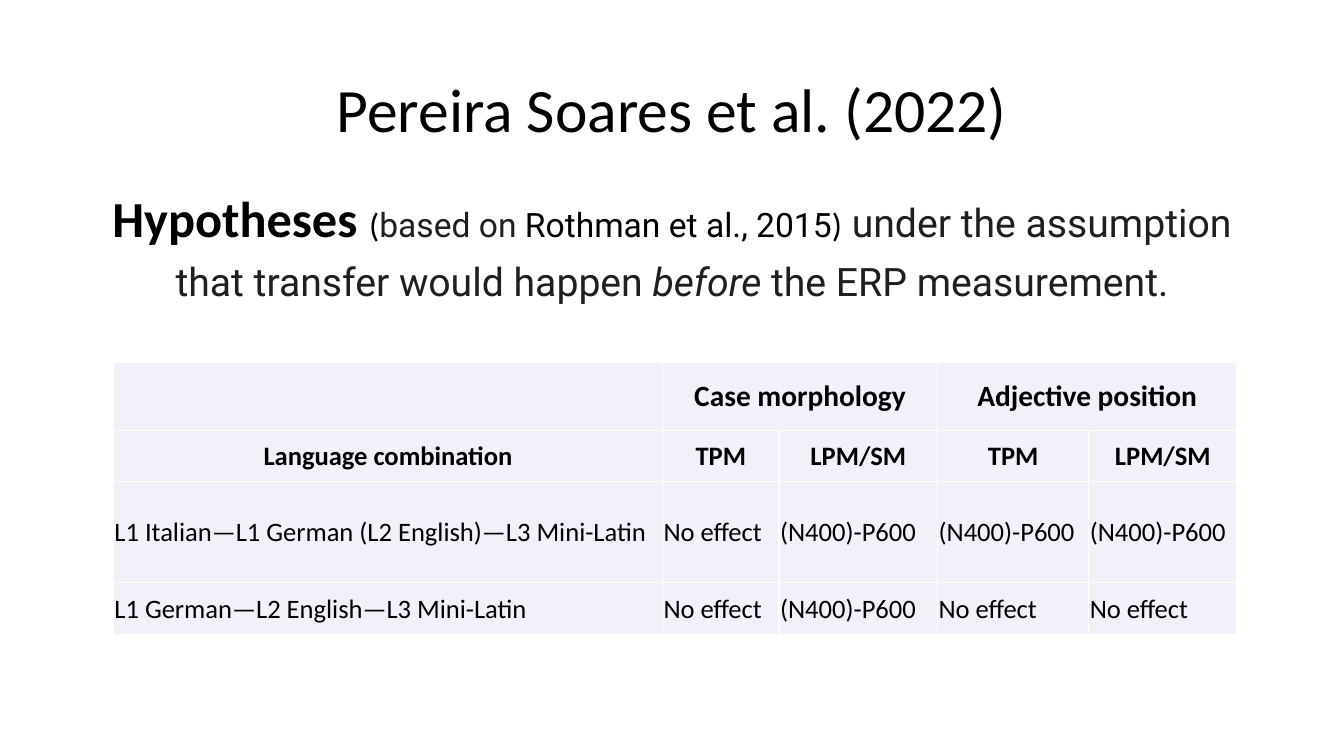
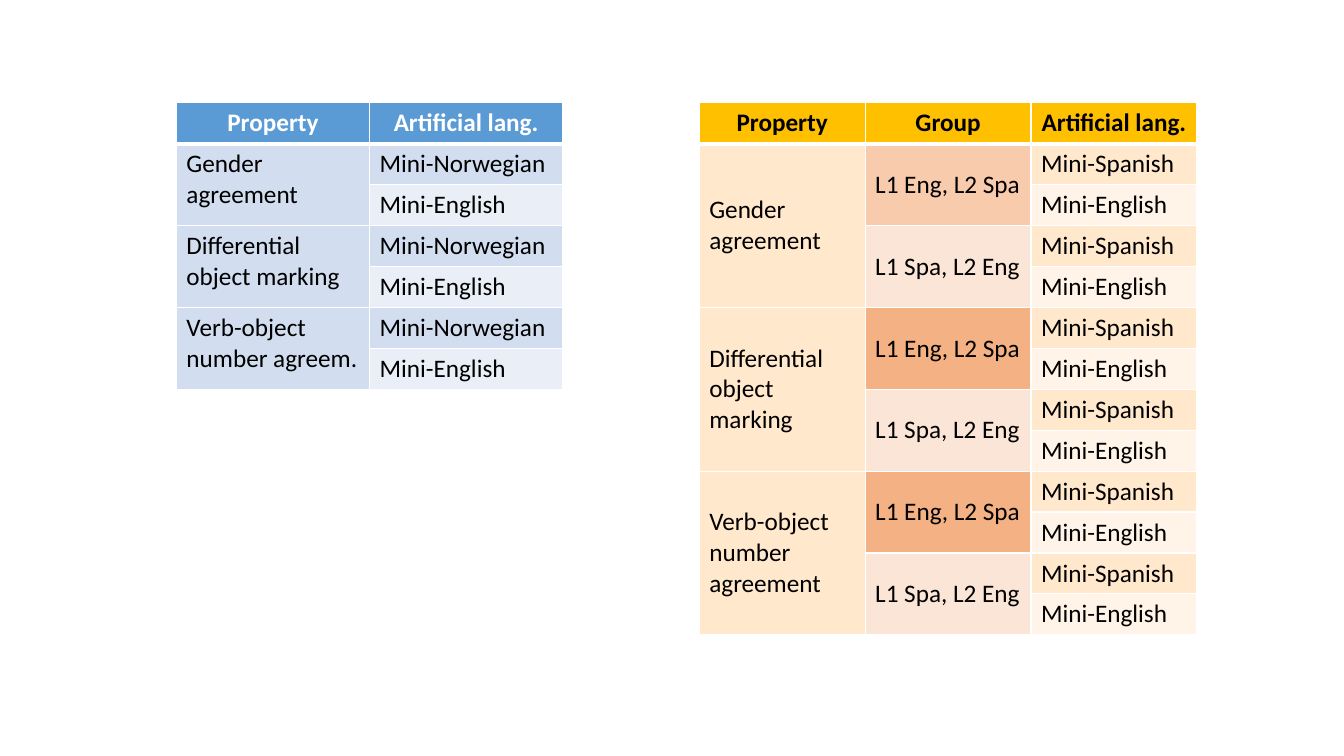
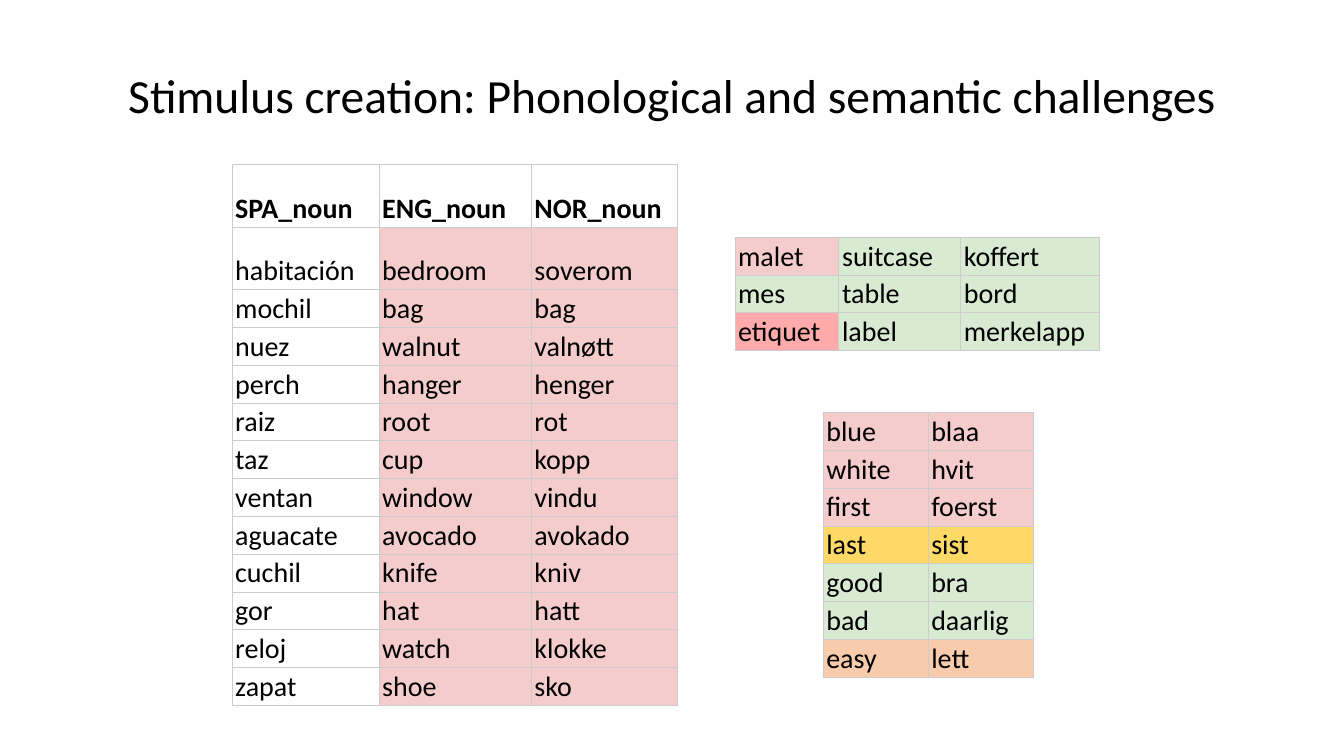
from dataclasses import dataclass

from lxml import etree
from pptx import Presentation
from pptx.dml.color import RGBColor
from pptx.enum.text import MSO_ANCHOR, PP_ALIGN
from pptx.oxml.ns import qn
from pptx.util import Emu, Pt

TOP, MIDDLE, BOTTOM = MSO_ANCHOR.TOP, MSO_ANCHOR.MIDDLE, MSO_ANCHOR.BOTTOM
LEFT, CENTER = PP_ALIGN.LEFT, PP_ALIGN.CENTER
PX = 9525  # 96 px to the inch
ABOVE, BESIDE = "^", "<"  # table cells that continue a neighbour


@dataclass(frozen=True)
class Theme:
    font: str = "Calibri"
    body_font: str = "Roboto"
    black: str = "000000"
    white: str = "FFFFFF"
    ink: str = "1F1F1F"
    grid: str = "CCCCCC"
    lavender: str = "F1F2F9"
    blue: str = "5B9BD5"
    blue_band: str = "D2DEEF"
    blue_pale: str = "EAEFF7"
    gold: str = "FFC000"
    cream: str = "FFE8CC"
    cream_pale: str = "FFF4E7"
    peach: str = "F8CBAD"
    orange: str = "F4B183"
    peach_pale: str = "FBE5D6"
    pink: str = "F4CCCC"
    red: str = "FFABAB"
    yellow: str = "FFD966"
    green: str = "D9EAD3"
    title: int = 44
    long_title: int = 34
    lead: int = 36
    statement: int = 28
    aside: int = 24
    word: int = 20
    label: int = 18
    hypothesis: tuple = (21, 19)


THEME = Theme()


@dataclass(frozen=True)
class TableStyle:
    sizes: tuple  # by row, the last one holds for the rest
    border: str = THEME.white
    border_width: float = 1
    header_rows: int = 1
    header_align: int = CENTER
    header_color: str = THEME.black
    header_rule: float = 1
    anchor: int = TOP
    margins: tuple = ()  # left, top, right, bottom


HYPOTHESES = TableStyle(THEME.hypothesis, header_rows=2, anchor=MIDDLE, margins=(1, 1, 1, 0))
BLUE_DESIGN = TableStyle((THEME.label,), header_color=THEME.white, header_rule=3)
GOLD_DESIGN = TableStyle((THEME.label,), header_rule=3, anchor=MIDDLE)
NOUNS = TableStyle((THEME.word,), THEME.grid, 0.75, header_align=LEFT,
                   anchor=BOTTOM, margins=(3, 2, 3, 2))
WORDS = TableStyle((THEME.word,), THEME.grid, 0.75, header_rows=0,
                   anchor=BOTTOM, margins=(3, 2, 3, 2))


class Deck:
    """Holds the presentation, its theme and the current page."""

    def __init__(self, theme, width, height):
        self.theme = theme
        self.show = Presentation()
        self.show.slide_width, self.show.slide_height = Emu(width * PX), Emu(height * PX)
        self.page = None

    def new_page(self):
        self.page = self.show.slides.add_slide(self.show.slide_layouts[6])

    def style_font(self, font, size, color, name=None, bold=False, italic=False):
        font.name, font.size = name or self.theme.font, Pt(size)
        font.bold, font.italic = bold, italic
        font.color.rgb = RGBColor.from_string(color)

    def centered_box(self, top, height, line_spacing, anchor):
        box = self.page.shapes.add_textbox(*(Emu(v * PX) for v in (88, top, 1104, height)))
        box.text_frame.word_wrap = True
        box.text_frame.vertical_anchor = anchor
        para = box.text_frame.paragraphs[0]
        para.alignment, para.line_spacing = CENTER, line_spacing
        return para

    def title(self, text, top, height, size):
        para = self.centered_box(top, height, 0.9, MIDDLE)
        para.add_run().text = text
        self.style_font(para.font, size, self.theme.black)

    def statement(self, top, height, spans):
        para = self.centered_box(top, height, 1.2, TOP)
        for text, *look in spans:
            span = para.add_run()
            span.text = text
            self.style_font(span.font, *look)

    def table(self, left, top, columns, heights, rows, style, fill):
        """Draw rows of text; fill(row, column) gives a colour or None."""
        frame = self.page.shapes.add_table(
            len(rows), len(columns), Emu(left * PX), Emu(top * PX),
            Emu(sum(columns) * PX), Emu(sum(heights) * PX))
        table = frame.table
        table.first_row = table.horz_banding = False
        for column, width in zip(table.columns, columns):
            column.width = Emu(width * PX)
        for row, height in zip(table.rows, heights):
            row.height = Emu(height * PX)
        for r, row in enumerate(rows):
            for c, text in enumerate(row):
                cell = table.cell(r, c)
                self.cell_borders(cell, r, style)
                self.cell_fill(cell, fill(r, c))
                if text not in (ABOVE, BESIDE):
                    self.cell_text(cell, text, r, style)
        self.merge_cells(table, rows)

    def cell_borders(self, cell, row, style):
        properties = cell._tc.get_or_add_tcPr()
        rules = {"a:lnT": style.header_rows and row == style.header_rows,
                 "a:lnB": row == style.header_rows - 1}
        for side in ("a:lnL", "a:lnR", "a:lnT", "a:lnB"):
            width = style.header_rule if rules.get(side) else style.border_width
            if style.header_rule == 1:
                width = style.border_width
            line = etree.SubElement(properties, qn(side), w=str(Pt(width)))
            solid = etree.SubElement(line, qn("a:solidFill"))
            etree.SubElement(solid, qn("a:srgbClr"), val=style.border)

    def cell_fill(self, cell, color):
        if color is None:
            cell.fill.background()
        else:
            cell.fill.solid()
            cell.fill.fore_color.rgb = RGBColor.from_string(color)

    def cell_text(self, cell, text, row, style):
        header = row < style.header_rows
        cell.vertical_anchor = style.anchor
        if style.margins:
            (cell.margin_left, cell.margin_top, cell.margin_right,
             cell.margin_bottom) = (Emu(v * PX) for v in style.margins)
        cell.text_frame.text = text
        size = style.sizes[min(row, len(style.sizes) - 1)]
        color = style.header_color if header else self.theme.black
        for para in cell.text_frame.paragraphs:
            para.alignment = style.header_align if header else LEFT
            self.style_font(para.font, size, color, bold=header)

    def merge_cells(self, table, rows):
        for r, row in enumerate(rows):
            for c, text in enumerate(row):
                if text in (ABOVE, BESIDE):
                    continue
                last_row, last_column = r, c
                while last_row + 1 < len(rows) and rows[last_row + 1][c] == ABOVE:
                    last_row += 1
                while last_column + 1 < len(row) and row[last_column + 1] == BESIDE:
                    last_column += 1
                if (last_row, last_column) != (r, c):
                    table.cell(r, c).merge(table.cell(last_row, last_column))


def hypotheses_page(deck):
    theme = deck.theme
    deck.new_page()
    deck.title("Pereira Soares et al. (2022)", 38, 139, theme.title)
    none, effect = "No effect", "(N400)-P600"
    rows = [
        ["", "Case morphology", BESIDE, "Adjective position", BESIDE],
        ["Language combination", "TPM", "LPM/SM", "TPM", "LPM/SM"],
        ["L1 Italian—L1 German (L2 English)—L3 Mini-Latin", none, effect, effect, effect],
        ["L1 German—L2 English—L3 Mini-Latin", none, effect, none, none],
    ]
    deck.table(108, 345, [523, 111, 151, 144, 141], [65, 49, 96, 49], rows,
               HYPOTHESES, lambda r, c: theme.lavender)
    statement = (theme.statement, theme.ink, theme.body_font)
    deck.statement(162, 139, [
        ("Hypotheses ", theme.lead, theme.black, theme.font, True),
        ("(", theme.aside, theme.black),
        ("based on ", theme.aside, theme.ink, theme.body_font),
        ("Rothman et al., 2015", theme.aside, theme.black, theme.body_font),
        (")", theme.aside, theme.black),
        (" under the assumption that transfer would happen ", *statement),
        ("before ", *statement, False, True),
        ("the ERP measurement.", *statement),
    ])


def design_page(deck):
    theme = deck.theme
    deck.new_page()

    # One group: two artificial languages for each property
    rows = [["Property", "Artificial lang."]]
    for name in ("Gender agreement", "Differential object marking",
                 "Verb-object number agreem."):
        rows += [[name, "Mini-Norwegian"], [ABOVE, "Mini-English"]]

    def blue_fill(r, c):
        if r == 0:
            return theme.blue
        return theme.blue_band if c == 0 or r % 2 else theme.blue_pale

    deck.table(168, 98, [184] * 2, [39] * len(rows), rows, BLUE_DESIGN, blue_fill)

    # Two groups: each learns two artificial languages for each property
    rows = [["Property", "Group", "Artificial lang."]]
    for name in ("Gender agreement", "Differential\nobject\nmarking",
                 "Verb-object number agreement"):
        rows += [[name, "L1 Eng, L2 Spa", "Mini-Spanish"],
                 [ABOVE, ABOVE, "Mini-English"],
                 [ABOVE, "L1 Spa, L2 Eng", "Mini-Spanish"],
                 [ABOVE, ABOVE, "Mini-English"]]

    def gold_fill(r, c):
        if r == 0:
            return theme.gold
        if c == 1:
            if (r - 1) % 4 >= 2:
                return theme.peach_pale
            return theme.peach if r <= 2 else theme.orange
        return theme.cream if c == 0 or r % 2 else theme.cream_pale

    deck.table(666, 98, [158] * 3, [39] * len(rows), rows, GOLD_DESIGN, gold_fill)


def stimulus_page(deck):
    theme = deck.theme
    deck.new_page()
    deck.title("Stimulus creation: Phonological and semantic challenges",
               34, 118, theme.long_title)

    # Nouns in three languages
    nouns = [line.split() for line in (
        "SPA_noun ENG_noun NOR_noun", "habitación bedroom soverom", "mochil bag bag",
        "nuez walnut valnøtt", "perch hanger henger", "raiz root rot", "taz cup kopp",
        "ventan window vindu", "aguacate avocado avokado", "cuchil knife kniv",
        "gor hat hatt", "reloj watch klokke", "zapat shoe sko")]
    deck.table(221, 157, [140, 145, 139], [60, 59] + [36] * 11, nouns, NOUNS,
               lambda r, c: theme.pink if r and c else None)

    # Adjectives, coloured by row
    adjectives = [line.split() for line in (
        "blue blaa", "white hvit", "first foerst", "last sist",
        "good bra", "bad daarlig", "easy lett")]
    row_fills = [theme.pink] * 3 + [theme.yellow] + [theme.green] * 2 + [theme.peach]
    deck.table(784, 393, [100] * 2, [36] * len(adjectives), adjectives, WORDS,
               lambda r, c: row_fills[r])

    # Further nouns, with the Spanish column coloured by word
    further = [line.split() for line in (
        "malet suitcase koffert", "mes table bord", "etiquet label merkelapp")]
    spanish_fills = [theme.pink, theme.green, theme.red]
    deck.table(700, 226, [99, 116, 132], [36] * len(further), further, WORDS,
               lambda r, c: theme.green if c else spanish_fills[r])


def main():
    deck = Deck(THEME, 1280, 720)
    hypotheses_page(deck)
    design_page(deck)
    stimulus_page(deck)
    deck.show.save("out.pptx")


if __name__ == "__main__":
    main()
